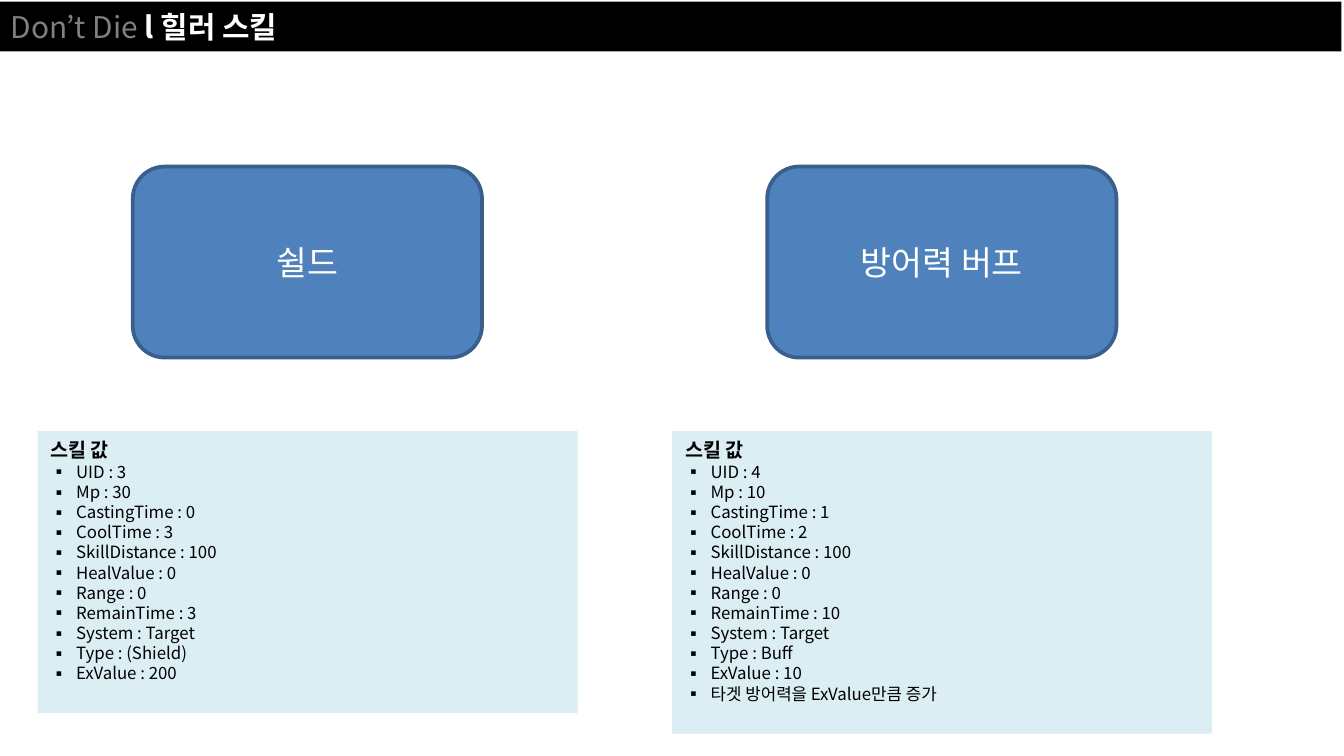
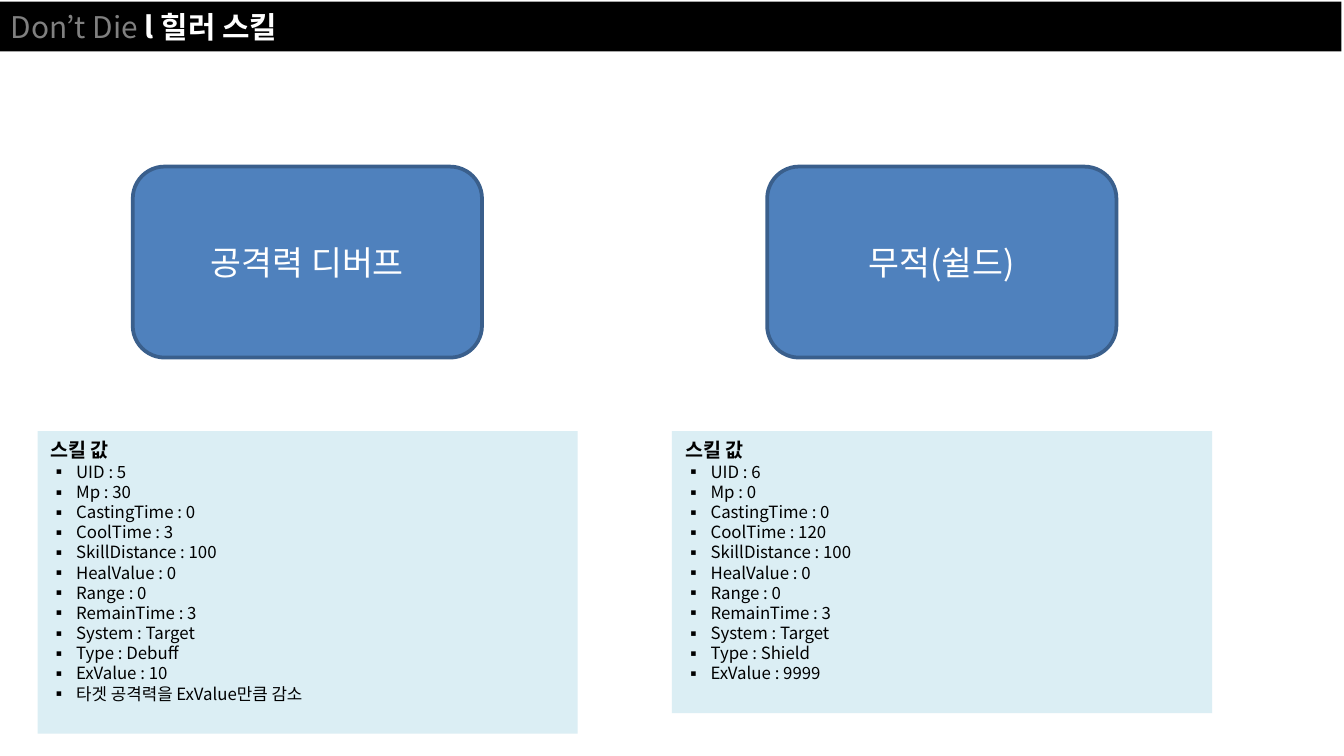
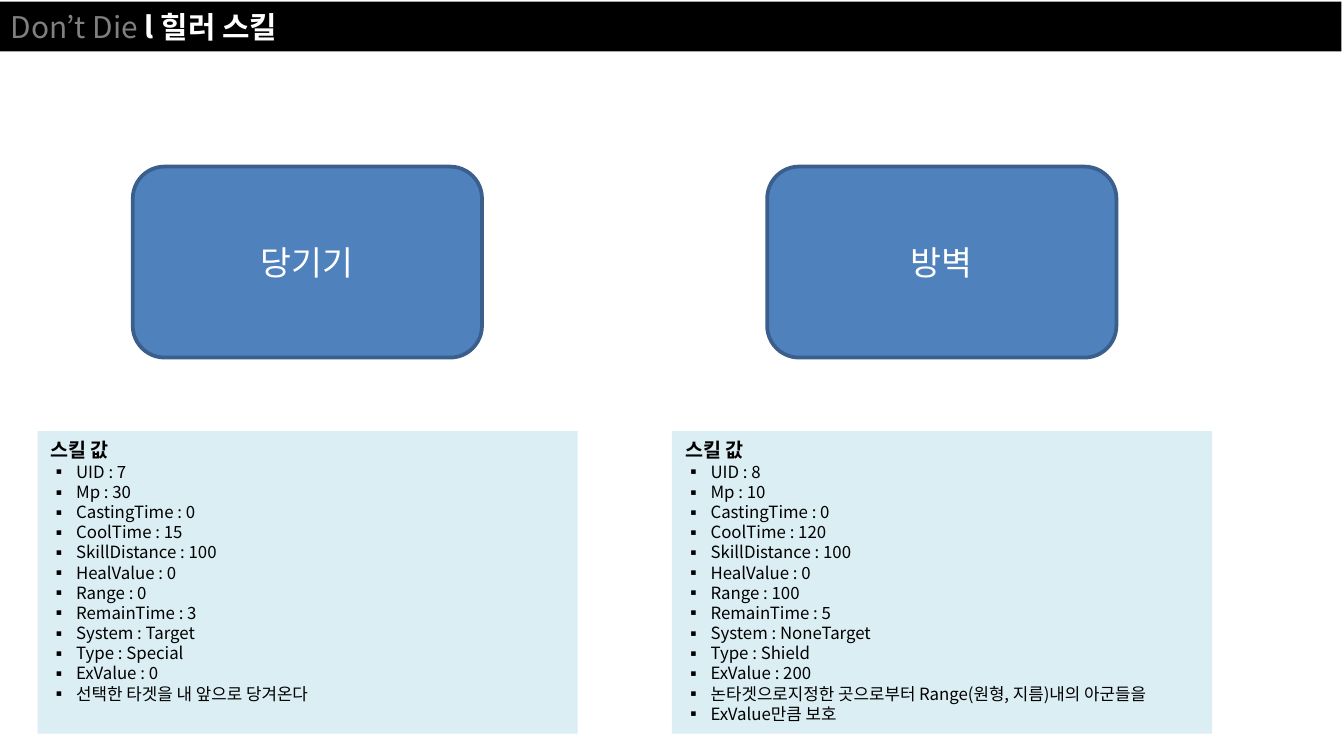
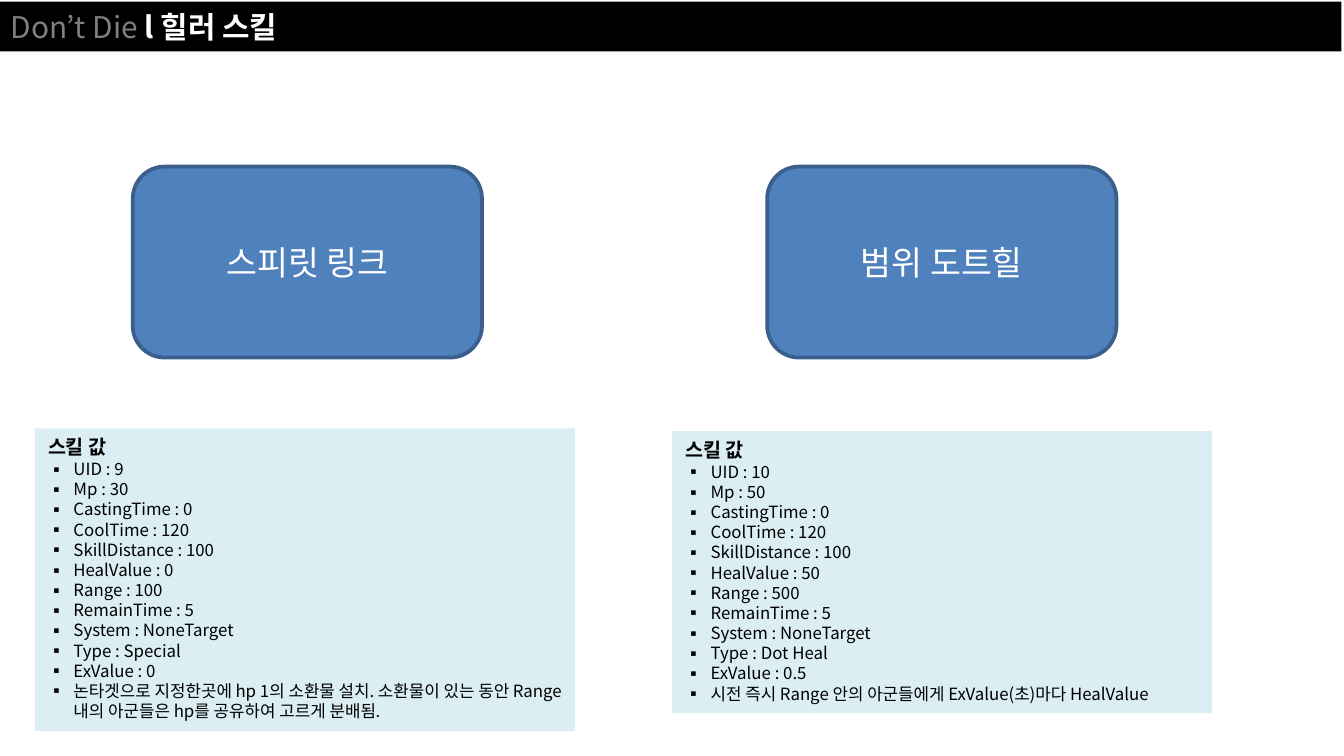
from lxml import etree
from pptx import Presentation
from pptx.dml.color import RGBColor
from pptx.enum.shapes import MSO_SHAPE
from pptx.enum.text import MSO_ANCHOR, MSO_AUTO_SIZE, PP_ALIGN
from pptx.oxml.ns import qn
from pptx.util import Cm, Pt

RECTANGLE, ROUNDED = MSO_SHAPE.RECTANGLE, MSO_SHAPE.ROUNDED_RECTANGLE
TOP, MIDDLE = MSO_ANCHOR.TOP, MSO_ANCHOR.MIDDLE
LEFT, CENTER = PP_ALIGN.LEFT, PP_ALIGN.CENTER
NO_AUTOFIT = MSO_AUTO_SIZE.NONE

GAME, TOPIC = "Don’t Die ", "l 힐러 스킬"
PANEL_HEADING = "스킬 값"
STATS = ("UID", "Mp", "CastingTime", "CoolTime", "SkillDistance", "HealValue",
         "Range", "RemainTime", "System", "Type", "ExValue")
SHORT, TALL = 5.33, 5.72

# One list per slide: skill name, values in the order of STATS, notes, panel height
SKILL_SLIDES = [
    [("쉴드", (3, 30, 0, 3, 100, 0, 0, 3, "Target", "(Shield)", 200), [], SHORT),
     ("방어력 버프", (4, 10, 1, 2, 100, 0, 0, 10, "Target", "Buff", 10),
      ["타겟 방어력을 ExValue만큼 증가"], TALL)],
    [("공격력 디버프", (5, 30, 0, 3, 100, 0, 0, 3, "Target", "Debuff", 10),
      ["타겟 공격력을 ExValue만큼 감소"], TALL),
     ("무적(쉴드)", (6, 0, 0, 120, 100, 0, 0, 3, "Target", "Shield", 9999), [], SHORT)],
    [("당기기", (7, 30, 0, 15, 100, 0, 0, 3, "Target", "Special", 0),
      ["선택한 타겟을 내 앞으로 당겨온다"], TALL),
     ("방벽", (8, 10, 0, 120, 100, 0, 100, 5, "NoneTarget", "Shield", 200),
      ["논타겟으로지정한 곳으로부터 Range(원형, 지름)내의 아군들을", "ExValue만큼 보호"], TALL)],
    [("스피릿 링크", (9, 30, 0, 120, 100, 0, 100, 5, "NoneTarget", "Special", 0),
      ["논타겟으로 지정한곳에 hp 1의 소환물 설치. 소환물이 있는 동안 "
       "Range내의 아군들은 hp를 공유하여 고르게 분배됨."], TALL),
     ("범위 도트힐", (10, 50, 0, 120, 100, 50, 500, 5, "NoneTarget", "Dot Heal", 0.5),
      ["시전 즉시 Range 안의 아군들에게 ExValue(초)마다 HealValue"], SHORT)],
]

FONT = "Noto Sans CJK KR"
BLACK, WHITE, GREY = "000000", "FFFFFF", "808080"
PANEL_FILL, CARD_FILL, CARD_LINE = "DBEEF4", "4F81BD", "3A5F8C"
GAME_STYLE = {"size": Pt(16), "bold": False, "color": GREY}
TOPIC_STYLE = {"size": Pt(16), "bold": True, "color": WHITE}
CARD_STYLE = {"size": Pt(18), "bold": False, "color": WHITE}
HEADING_STYLE = {"size": Pt(10.5), "bold": True, "color": BLACK}
STAT_STYLE = {"size": Pt(9), "bold": False, "color": BLACK}

SLIDE_SIZE = (25.4, 14.29)
BAND_BOX = (-0.05, 0.03, 25.4, 0.94)
COLUMN_STEP = 11.99
PANEL_LEFT, PANEL_TOP, PANEL_WIDTH = 0.71, 8.15, 10.21
CARD_LEFT, CARD_TOP, CARD_WIDTH, CARD_HEIGHT = 2.51, 3.15, 6.6, 3.61
BULLET_INDENT = 0.48
LINE_RATIO = 1.2


def rgb(color):
    return RGBColor.from_string(color)


def fill_solid(shape, color):
    shape.fill.solid()
    shape.fill.fore_color.rgb = rgb(color)


def set_frame(shape, anchor):
    frame = shape.text_frame
    settings = {"word_wrap": True, "auto_size": NO_AUTOFIT, "vertical_anchor": anchor,
                "margin_left": Cm(0.25), "margin_right": Cm(0.25),
                "margin_top": Cm(0.13), "margin_bottom": Cm(0.13)}
    for setting, value in settings.items():
        setattr(frame, setting, value)
    return frame


def add_run(paragraph, text, style):
    """Add styled text, naming the font for Latin and Korean letters alike."""
    run = paragraph.add_run()
    run.text = text
    run.font.name = FONT
    for setting, value in style.items():
        if setting == "color":
            run.font.color.rgb = rgb(value)
        else:
            setattr(run.font, setting, value)
    etree.SubElement(run.font._element, qn("a:ea"), typeface=FONT)


def add_bullet(paragraph):
    properties = paragraph._p.get_or_add_pPr()
    properties.set("marL", str(Cm(BULLET_INDENT)))
    properties.set("indent", str(-Cm(BULLET_INDENT)))
    etree.SubElement(properties, qn("a:buFont"), typeface=FONT)
    etree.SubElement(properties, qn("a:buChar"), char="▪")


def add_box(slide, kind, box, color):
    shape = slide.shapes.add_shape(kind, *map(Cm, box))
    shape.shadow.inherit = False
    fill_solid(shape, color)
    shape.line.fill.background()
    return shape


def add_title_band(slide):
    band = slide.shapes.title
    for side, length in zip(("left", "top", "width", "height"), BAND_BOX):
        setattr(band, side, Cm(length))
    fill_solid(band, BLACK)
    paragraph = set_frame(band, MIDDLE).paragraphs[0]
    paragraph.alignment = LEFT
    add_run(paragraph, GAME, GAME_STYLE)
    add_run(paragraph, TOPIC, TOPIC_STYLE)


def add_panel(slide, box, values, notes):
    frame = set_frame(add_box(slide, RECTANGLE, box, PANEL_FILL), TOP)
    stats = [f"{stat} : {value}" for stat, value in zip(STATS, values)]
    for index, line in enumerate([PANEL_HEADING, *stats, *notes]):
        paragraph = frame.add_paragraph() if index else frame.paragraphs[0]
        style = STAT_STYLE if index else HEADING_STYLE
        paragraph.alignment = LEFT
        paragraph.line_spacing = Pt(style["size"].pt * LINE_RATIO)
        if index:
            add_bullet(paragraph)
        add_run(paragraph, line, style)


def add_card(slide, box, skill):
    card = add_box(slide, ROUNDED, box, CARD_FILL)
    card.line.color.rgb = rgb(CARD_LINE)
    card.line.width = Pt(2)
    paragraph = set_frame(card, MIDDLE).paragraphs[0]
    paragraph.alignment = CENTER
    add_run(paragraph, skill, CARD_STYLE)


def main():
    deck = Presentation()
    deck.slide_width, deck.slide_height = map(Cm, SLIDE_SIZE)
    title_only = deck.slide_layouts[5]
    for skills in SKILL_SLIDES:
        slide = deck.slides.add_slide(title_only)
        add_title_band(slide)
        for column, (skill, values, notes, height) in enumerate(skills):
            shift = column * COLUMN_STEP
            nudge = 0.05 if skill == "스피릿 링크" else 0
            add_panel(slide, (PANEL_LEFT + shift - nudge, PANEL_TOP - nudge,
                              PANEL_WIDTH, height), values, notes)
            add_card(slide, (CARD_LEFT + shift, CARD_TOP, CARD_WIDTH, CARD_HEIGHT), skill)
    deck.save("out.pptx")


if __name__ == "__main__":
    main()
